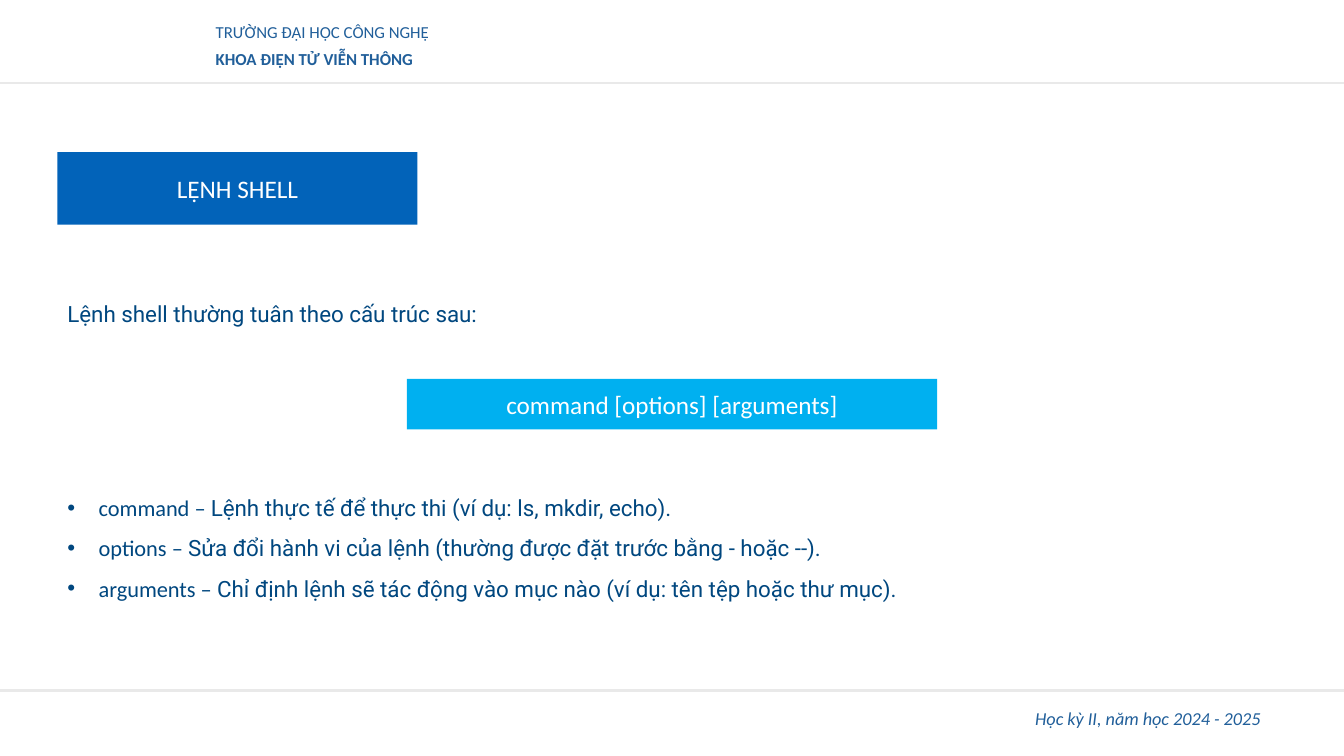
from lxml import etree
from pptx import Presentation
from pptx.dml.color import RGBColor
from pptx.enum.shapes import MSO_CONNECTOR as Line, MSO_SHAPE as Shape
from pptx.enum.text import MSO_ANCHOR as Anchor, MSO_AUTO_SIZE as Fit, PP_ALIGN as Align
from pptx.oxml import parse_xml
from pptx.oxml.ns import nsdecls, qn
from pptx.util import Inches, Pt

WIDE, HIGH = 13.33, 7.5
LEFT = 0.57
HEAD, FOOT = 0.82, 6.85

WHITE = RGBColor(0xFF, 0xFF, 0xFF)
GREY = RGBColor(0xE9, 0xE9, 0xE9)
STEEL = RGBColor(0x21, 0x5F, 0x9A)
NAVY = RGBColor(0x00, 0x47, 0x7F)
BLUE = RGBColor(0x02, 0x63, 0xB9)
CYAN = RGBColor(0x00, 0xB0, 0xF0)

PARTS = [
    ("command – ", "Lệnh thực tế để thực thi (ví dụ: ls, mkdir, echo)."),
    ("options – ", "Sửa đổi hành vi của lệnh (thường được đặt trước bằng - hoặc --)."),
    ("arguments – ", "Chỉ định lệnh sẽ tác động vào mục nào (ví dụ: tên tệp hoặc thư mục)."),
]


def style(run, size, color, name="Calibri", bold=False, italic=False):
    font = run.font
    font.size, font.name = Pt(size), name
    font.bold, font.italic = bold, italic
    font.color.rgb = color


def write(shape, text, size, color, align=Align.LEFT, anchor=Anchor.TOP, space=1.0, **look):
    """Fill a shape with one styled paragraph."""
    frame = shape.text_frame
    frame.text = text
    frame.word_wrap, frame.auto_size = True, Fit.NONE
    frame.vertical_anchor = anchor
    para = frame.paragraphs[0]
    para.alignment, para.line_spacing = align, space
    style(para.runs[0], size, color, **look)


def add_box(slide, box):
    return slide.shapes.add_textbox(*map(Inches, box))


def add_rule(slide, y):
    rule = slide.shapes.add_connector(Line.STRAIGHT, 0, Inches(y), Inches(WIDE), Inches(y))
    rule.line.color.rgb, rule.line.width = GREY, Pt(1.5)
    etree.SubElement(rule.element.spPr, qn("a:effectLst"))


def add_header(slide, box):
    """School above faculty, closed by a rule at the foot of the box."""
    x, y, w, h = box
    rows = [("TRƯỜNG ĐẠI HỌC CÔNG NGHỆ", False), ("KHOA ĐIỆN TỬ VIỄN THÔNG", True)]
    for i, (text, bold) in enumerate(rows):
        row = add_box(slide, (x, y + 0.19 + 0.27 * i, w, 0.35))
        write(row, text, 12, STEEL, space=0.9, bold=bold)
    add_rule(slide, y + h)


def add_footer(slide, box):
    x, y, w, h = box
    add_rule(slide, y)
    term = add_box(slide, (x, y + 0.08, w, h))
    write(term, "Học kỳ II, năm học 2024 - 2025", 13, STEEL,
          Align.RIGHT, Anchor.MIDDLE, italic=True)


def add_title(slide, box):
    """Turn the title placeholder into a pill."""
    title = slide.shapes.title
    title.left, title.top, title.width, title.height = map(Inches, box)
    title.element.spPr.append(parse_xml(
        f'<a:prstGeom {nsdecls("a")} prst="roundRect"><a:avLst>'
        '<a:gd name="adj" fmla="val 50000"/></a:avLst></a:prstGeom>'))
    title.fill.solid()
    title.fill.fore_color.rgb = BLUE
    write(title, "LỆNH SHELL", 18, WHITE, Align.CENTER, Anchor.MIDDLE)


def add_syntax(slide, box):
    bar = slide.shapes.add_shape(Shape.RECTANGLE, *map(Inches, box))
    bar.shadow.inherit = False
    bar.fill.solid()
    bar.fill.fore_color.rgb = CYAN
    bar.line.fill.background()
    write(bar, "command [options] [arguments]", 18, WHITE, Align.CENTER, Anchor.MIDDLE)


def add_parts(slide, box):
    """Bulleted meaning of each part of a command."""
    frame = add_box(slide, box).text_frame
    frame.word_wrap = True
    for i, (term, sense) in enumerate(PARTS):
        para = frame.add_paragraph() if i else frame.paragraphs[0]
        para.alignment, para.line_spacing = Align.JUSTIFY, 1.5
        props = para._p.get_or_add_pPr()
        indent = Inches(0.31)
        props.set("marL", str(indent))
        props.set("indent", str(-indent))
        etree.SubElement(props, qn("a:buFont")).set("typeface", "Arial")
        etree.SubElement(props, qn("a:buChar")).set("char", "•")
        for text, name in ((term, "Calibri"), (sense, "Roboto")):
            run = para.add_run()
            run.text = text
            style(run, 16, NAVY, name)


def main():
    deck = Presentation()
    deck.slide_width, deck.slide_height = Inches(WIDE), Inches(HIGH)
    slide = deck.slides.add_slide(deck.slide_layouts[5])
    add_header(slide, (2.04, 0, 3.24, HEAD))
    add_footer(slide, (9.33, FOOT, 3.27, 0.4))
    add_title(slide, (LEFT, 1.51, 3.57, 0.72))
    intro = add_box(slide, (LEFT, 2.8, 5.13, 0.46))
    write(intro, "Lệnh shell thường tuân theo cấu trúc sau:", 16, NAVY,
          Align.JUSTIFY, space=1.5, name="Roboto")
    bar = 5.26
    add_syntax(slide, ((WIDE - bar) / 2, 3.76, bar, 0.5))
    add_parts(slide, (LEFT, 4.72, 10.78, 1.26))
    deck.save("out.pptx")


if __name__ == "__main__":
    main()
